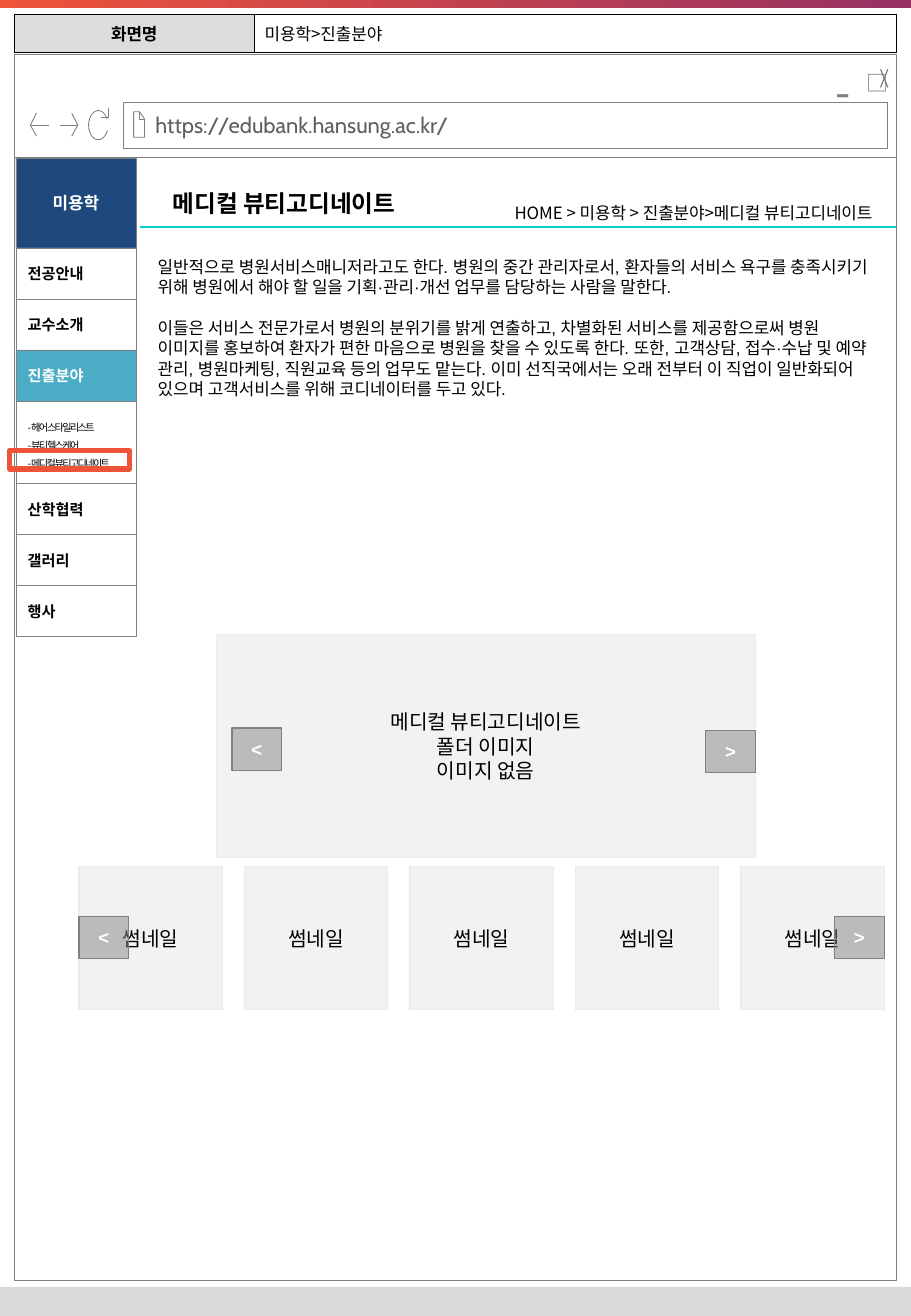
import math
from dataclasses import dataclass

import lxml.etree
import pptx
import pptx.dml.color
import pptx.enum.shapes
import pptx.enum.text
import pptx.oxml.ns
import pptx.util
from pptx.util import Inches, Pt

ALIGN = pptx.enum.text.PP_ALIGN
MIDDLE = pptx.enum.text.MSO_ANCHOR.MIDDLE


@dataclass(frozen=True)
class Theme:
    korean: str = "Noto Sans CJK KR"
    latin: str = "Arial"
    address: str = "Cabin"
    black: str = "000000"
    white: str = "FFFFFF"
    gray: str = "808080"
    address_gray: str = "5F5F5F"
    label_gray: str = "DDDDDD"
    footer_gray: str = "D9D9D9"
    panel: str = "F2F2F2"
    panel_edge: str = "EEECE1"
    navy: str = "1F497D"
    teal: str = "4BACC6"
    cyan: str = "06CFD4"
    orange: str = "EE543A"
    purple: str = "973163"
    submenu_size: float = 6
    menu_size: float = 9
    body_size: float = 10
    arrow_size: float = 11
    panel_size: float = 12
    address_size: float = 13
    title_size: float = 14
    minimize_size: float = 26


THEME = Theme()


def rgb(color):
    return pptx.dml.color.RGBColor.from_string(color)


def apply(target, **values):
    for name, value in values.items():
        setattr(target, name, value)


def add_xml(parent, tag, **attributes):
    return lxml.etree.SubElement(parent, pptx.oxml.ns.qn(tag), attributes)


def write(frame, lines, size, color=THEME.black, font=THEME.korean, bold=False,
          tracking=None, **paragraph_format):
    """Fill a text frame, one paragraph per line."""
    for index, line in enumerate(lines):
        paragraph = frame.add_paragraph() if index else frame.paragraphs[0]
        apply(paragraph, **paragraph_format)
        if not index:
            paragraph.space_before = Pt(0)
        run = paragraph.add_run()
        run.text = line
        apply(run.font, size=Pt(size), bold=bold, name=font)
        run.font.color.rgb = rgb(color)
        properties = run.font._element
        if tracking:
            properties.set("spc", str(tracking))
        add_xml(properties, "a:ea", typeface=THEME.korean)


def paint(shape, fill=None, edge=None, weight=0.5):
    shape.shadow.inherit = False
    if fill:
        shape.fill.solid()
        shape.fill.fore_color.rgb = rgb(fill)
    else:
        shape.fill.background()
    if edge:
        shape.line.color.rgb = rgb(edge)
        shape.line.width = Pt(weight)
    else:
        shape.line.fill.background()


def add_box(slide, box, fill=None, edge=None, weight=0.5):
    shape = slide.shapes.add_shape(pptx.enum.shapes.MSO_SHAPE.RECTANGLE, *map(Inches, box))
    paint(shape, fill, edge, weight)
    apply(shape.text_frame, word_wrap=True, vertical_anchor=MIDDLE)
    return shape


def add_text(slide, box, **frame_format):
    frame = slide.shapes.add_textbox(*map(Inches, box)).text_frame
    apply(frame, **{"word_wrap": True, **frame_format})
    return frame


def add_strokes(slide, origin, strokes, weight=0.5):
    """Draw open polylines whose points are offsets from the origin."""
    placed = [[(Inches(origin[0] + x), Inches(origin[1] + y)) for x, y in stroke]
              for stroke in strokes]
    builder = slide.shapes.build_freeform(*placed[0][0])
    for index, stroke in enumerate(placed):
        if index:
            builder.move_to(*stroke[0])
        builder.add_line_segments(stroke[1:], close=False)
    paint(builder.convert_to_shape(), None, THEME.gray, weight)


def add_page_bands(slide, width, height):
    top = add_box(slide, (0, 0, width, 0.07))
    top.fill.gradient()
    top.fill.gradient_angle = 0
    for stop, color in zip(top.fill.gradient_stops, (THEME.orange, THEME.purple)):
        stop.color.rgb = rgb(color)
    add_box(slide, (0, height - 0.24, width, 0.24), THEME.footer_gray)


def add_screen_name(slide, box):
    table = slide.shapes.add_table(1, 2, *map(Inches, box)).table
    label_width = 1.97
    columns = (
        ("화면명", label_width, THEME.label_gray, True, ALIGN.CENTER),
        ("미용학>진출분야", box[2] - label_width, THEME.white, False, ALIGN.LEFT),
    )
    for index, (text, width, fill, bold, align) in enumerate(columns):
        table.columns[index].width = Inches(width)
        cell = table.cell(0, index)
        apply(cell, vertical_anchor=MIDDLE, margin_left=Inches(0.09),
              margin_right=Inches(0.09), margin_top=Inches(0.04), margin_bottom=Inches(0.04))
        write(cell.text_frame, [text], THEME.body_size, bold=bold, alignment=align)
        properties = cell._tc.get_or_add_tcPr()
        for side in ("a:lnL", "a:lnR", "a:lnT", "a:lnB"):
            border = add_xml(properties, side, w=str(Pt(0.25)))
            add_xml(add_xml(border, "a:solidFill"), "a:srgbClr", val=THEME.black)
        cell.fill.solid()
        cell.fill.fore_color.rgb = rgb(fill)


def add_browser(slide, box):
    left, top, width, height = box
    bar = 0.85
    add_box(slide, (left, top + bar, width, height - bar), THEME.white, THEME.gray)
    add_box(slide, (left, top, width, bar), THEME.white, THEME.gray)
    address = add_box(slide, (left + 0.9, top + 0.39, width - 0.97, 0.38),
                      THEME.white, THEME.gray)
    address.text_frame.margin_left = Inches(0.26)
    write(address.text_frame, ["https://edubank.hansung.ac.kr/"], THEME.address_size,
          THEME.address_gray, THEME.address, alignment=ALIGN.LEFT)

    page = [[(0.05, 0), (0.05, 0.06), (0.09, 0.06)],
            [(0, 0), (0, 0.21), (0.09, 0.21), (0.09, 0.06), (0.05, 0), (0, 0)]]
    back = [[(0.05, 0.19), (0, 0.1), (0.05, 0)], [(0, 0.1), (0.15, 0.1)]]
    forward = [[(0.15 - x, y) for x, y in stroke] for stroke in back]
    turn = [math.radians(angle) for angle in range(22, 339, 12)]
    reload = [[(0.16, 0), (0.16, 0.08), (0.1, 0.08)],
              [(0.08 + 0.08 * math.cos(a), 0.14 + 0.12 * math.sin(a)) for a in turn]]
    close = [[(0.06, 0), (0, 0.15)], [(0, 0), (0.06, 0.15)]]
    for x, y, strokes, weight in ((0.98, 0.47, page, 0.5), (0.13, 0.48, back, 0.5),
                                  (0.37, 0.48, forward, 0.5), (0.61, 0.44, reload, 0.5),
                                  (7.13, 0.12, close, 0.75)):
        add_strokes(slide, (left + x, top + y), strokes, weight)

    for sign, x, y, w, h, size in (("□", 7.01, -0.04, 0.19, 0.43, THEME.address_size),
                                   ("-", 6.63, -0.19, 0.39, 0.76, THEME.minimize_size)):
        frame = add_text(slide, (left + x, top + y, w, h), word_wrap=False,
                         vertical_anchor=MIDDLE, margin_left=0, margin_right=0)
        write(frame, [sign], size, THEME.gray, alignment=ALIGN.CENTER,
              line_spacing=Pt(size * 1.8))


def add_heading(slide, box):
    left, top, width, height = box
    title = slide.shapes.title
    slide.shapes.element.append(title.element)
    apply(title, left=Inches(left + 0.17), top=Inches(top),
          width=Inches(2.38), height=Inches(height))
    paint(title, THEME.white)
    apply(title.text_frame, word_wrap=True, vertical_anchor=MIDDLE,
          auto_size=pptx.enum.text.MSO_AUTO_SIZE.NONE)
    write(title.text_frame, ["메디컬 뷰티고디네이트"], THEME.title_size, bold=True,
          alignment=ALIGN.LEFT)
    base = top + height - 0.01
    rule = slide.shapes.add_connector(pptx.enum.shapes.MSO_CONNECTOR.STRAIGHT,
                                      *map(Inches, (left, base, left + width, base)))
    rule.line.color.rgb = rgb(THEME.cyan)
    rule.line.width = Pt(1)
    add_xml(rule._element.spPr, "a:effectLst")
    breadcrumb = add_text(slide, (left + width - 4.5, top + 0.16, 4.4, 0.27))
    write(breadcrumb, ["HOME > 미용학 > 진출분야>메디컬 뷰티고디네이트"],
          THEME.body_size, alignment=ALIGN.RIGHT)


def add_description(slide, box):
    write(add_text(slide, box), [
        "일반적으로 병원서비스매니저라고도 한다. 병원의 중간 관리자로서, 환자들의 서비스 욕구를 "
        "충족시키기 위해 병원에서 해야 할 일을 기획·관리·개선 업무를 담당하는 사람을 말한다.",
        "이들은 서비스 전문가로서 병원의 분위기를 밝게 연출하고, 차별화된 서비스를 제공함으로써 병원 "
        "이미지를 홍보하여 환자가 편한 마음으로 병원을 찾을 수 있도록 한다. 또한, 고객상담, 접수·수납 및 "
        "예약 관리, 병원마케팅, 직원교육 등의 업무도 맡는다. 이미 선직국에서는 오래 전부터 이 직업이 "
        "일반화되어 있으며 고객서비스를 위해 코디네이터를 두고 있다.",
    ], THEME.body_size, font=THEME.latin, line_spacing=Pt(12.1), space_before=Pt(12))


def add_arrow(slide, sign, left, top):
    button = add_box(slide, (left, top, 0.41, 0.35), THEME.gray, THEME.gray, 0.75)
    color = button._element.spPr.find(".//" + pptx.oxml.ns.qn("a:srgbClr"))
    add_xml(color, "a:alpha", val="48000")
    margins = dict.fromkeys(("margin_left", "margin_right", "margin_top", "margin_bottom"),
                            Inches(0.04))
    apply(button.text_frame, word_wrap=False, **margins)
    write(button.text_frame, [sign], THEME.arrow_size, THEME.white, THEME.latin, True,
          alignment=ALIGN.CENTER)


def add_panel(slide, box, lines):
    panel = add_box(slide, box, THEME.panel, THEME.panel_edge, 0.75)
    write(panel.text_frame, lines, THEME.panel_size, alignment=ALIGN.CENTER,
          line_spacing=Pt(14.5))


def add_gallery(slide, box):
    left, top, width, height = box
    add_panel(slide, box, ["메디컬 뷰티고디네이트", "폴더 이미지", "이미지 없음"])
    add_arrow(slide, "<", left + 0.13, top + 0.77)
    add_arrow(slide, ">", left + width - 0.41, top + 0.79)


def add_thumbnails(slide, box, count=5):
    left, top, width, side = box
    step = (width - side) / (count - 1)
    for index in range(count):
        add_panel(slide, (left + index * step, top, side, side), ["썸네일"])
    add_arrow(slide, "<", left, top + 0.41)
    add_arrow(slide, ">", left + width - 0.41, top + 0.41)


def add_side_menu(slide, left, top, width):
    submenu = ["-헤어 스타일리스트", "-뷰티 헬스케어", "-메디컬 뷰티고디네이트"]
    heading = dict(size=THEME.body_size, bold=True, color=THEME.white, alignment=ALIGN.CENTER)
    item = dict(size=THEME.menu_size, bold=True, alignment=ALIGN.LEFT)
    current = {**item, "color": THEME.white}
    detail = dict(size=THEME.submenu_size, tracking=-100, alignment=ALIGN.LEFT,
                  line_spacing=Pt(10.7))
    entries = (
        (["미용학"], 0.74, THEME.navy, heading),
        (["전공안내"], 0.42, THEME.white, item),
        (["교수소개"], 0.42, THEME.white, item),
        (["진출분야"], 0.42, THEME.teal, current),
        (submenu, 0.68, THEME.white, detail),
        (["산학협력"], 0.42, THEME.white, item),
        (["갤러리"], 0.42, THEME.white, item),
        (["행사"], 0.42, THEME.white, item),
    )
    y = top
    for lines, height, fill, text_format in entries:
        entry = add_box(slide, (left, y, width, height), fill, THEME.gray, 0.25)
        write(entry.text_frame, lines, **text_format)
        y += height
    add_box(slide, (left - 0.05, top + 2.41, width, 0.15), None, THEME.orange, 3)


def main():
    width, height = 7.5, 10.83
    deck = pptx.Presentation()
    apply(deck, slide_width=Inches(width), slide_height=Inches(height))
    slide = deck.slides.add_slide(deck.slide_layouts.get_by_name("Title Only"))
    add_page_bands(slide, width, height)
    add_browser(slide, (0.12, 0.45, 7.26, 10.09))
    add_screen_name(slide, (0.12, 0.12, 7.26, 0.31))
    add_heading(slide, (1.15, 1.46, 6.23, 0.42))
    add_gallery(slide, (1.78, 5.22, 4.44, 1.84))
    add_thumbnails(slide, (0.65, 7.13, 6.63, 1.18))
    add_description(slide, (1.2, 2.06, 6.18, 1.28))
    add_side_menu(slide, 0.13, 1.3, 0.99)
    deck.save("out.pptx")


if __name__ == "__main__":
    main()
